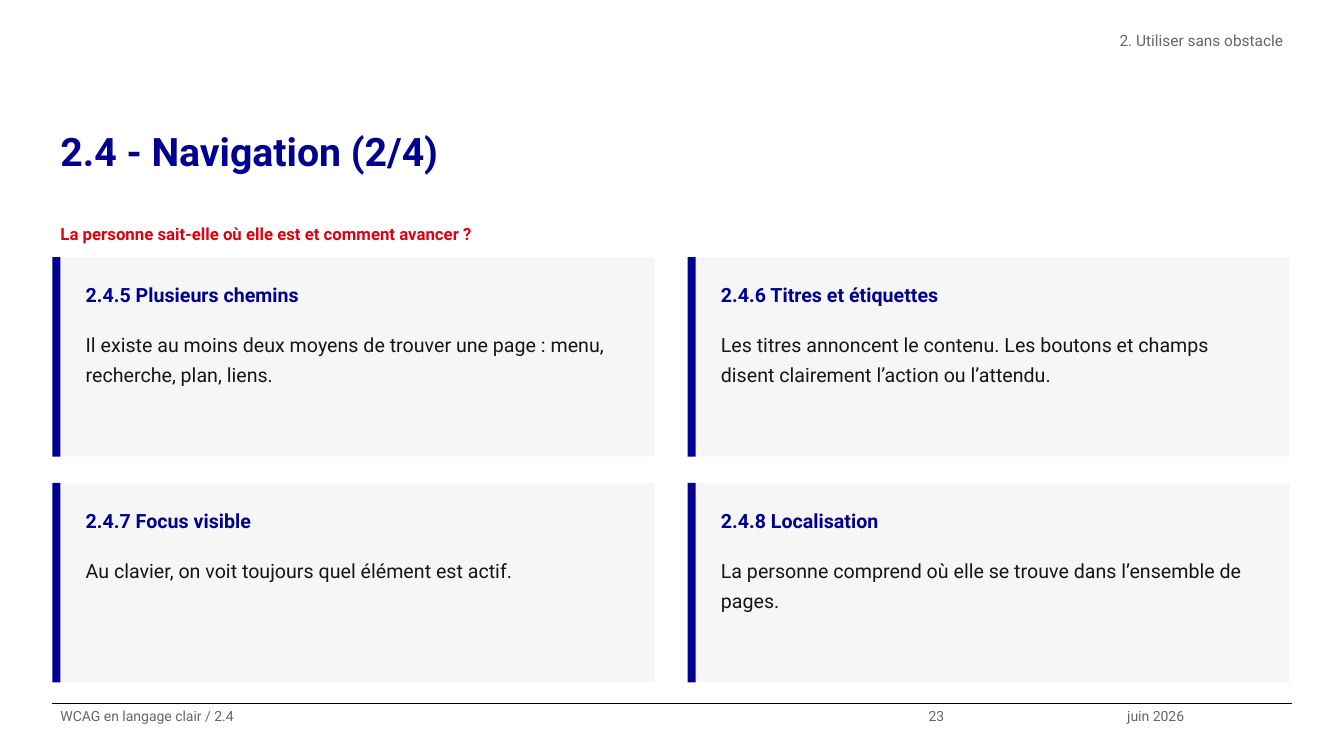
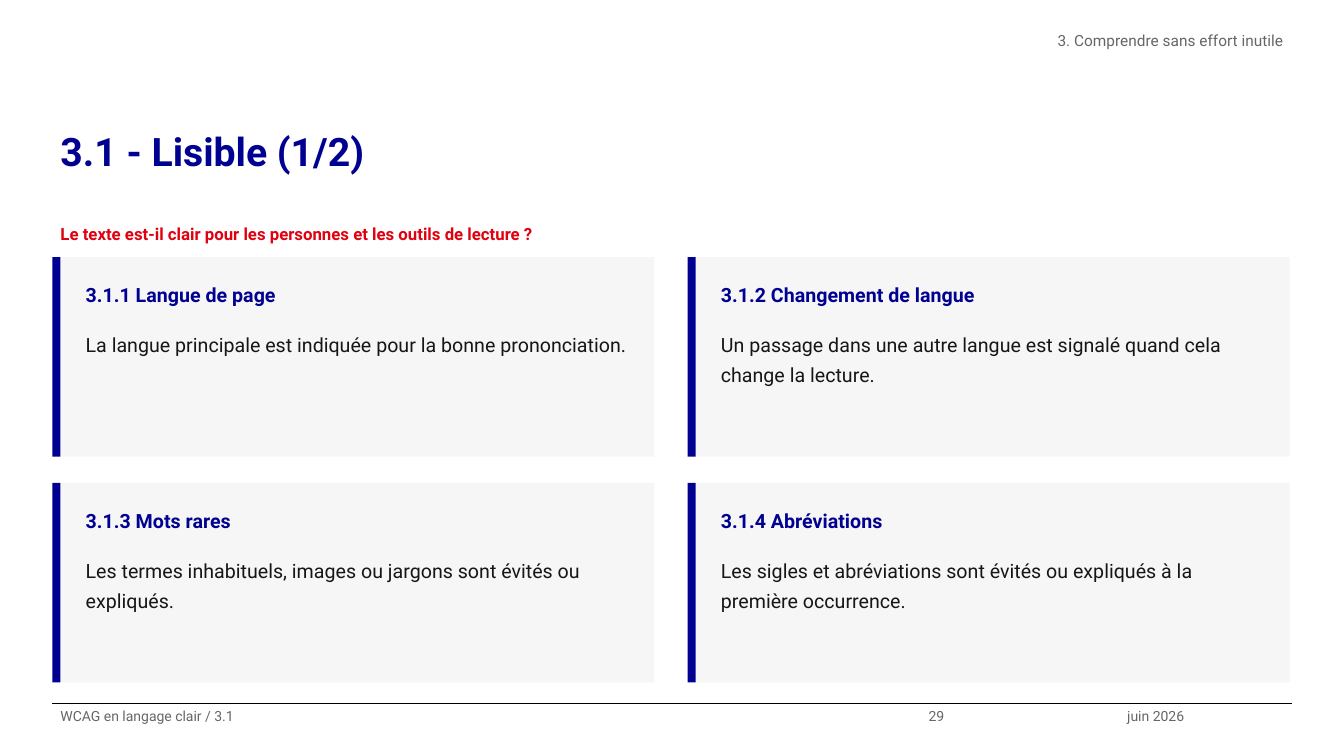
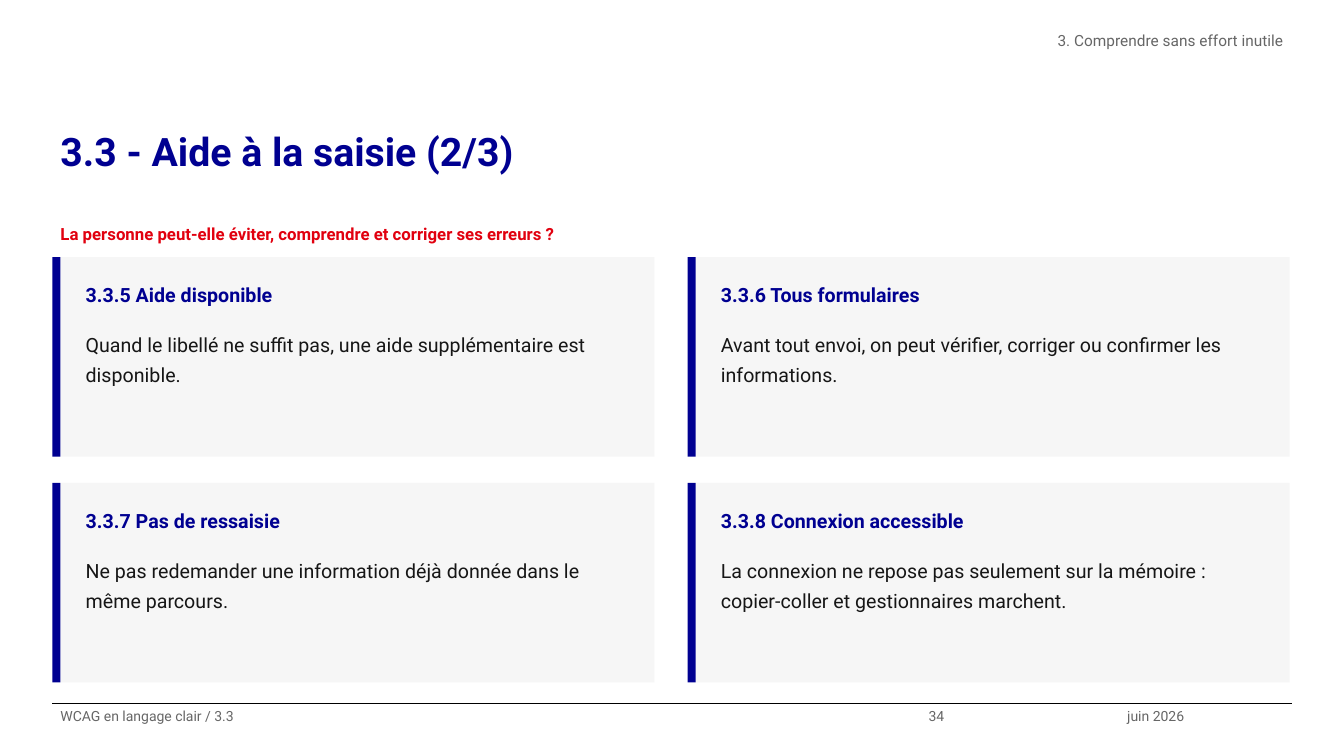
"""Build three slides of plain-language accessibility criteria cards."""
from pptx import Presentation
from pptx.dml.color import RGBColor
from pptx.enum.shapes import MSO_CONNECTOR as Connector, MSO_SHAPE as Shape
from pptx.enum.text import MSO_ANCHOR as Anchor, MSO_AUTO_SIZE as AutoSize, PP_ALIGN as Align
from pptx.oxml.ns import qn
from pptx.util import Inches, Pt
from lxml import etree

FONT = "Roboto"
BLUE, RED, INK, GREY, PANEL, BLACK = "000091", "E1000F", "161616", "666666", "F6F6F6", "000000"
LEFT, WIDTH = 0.52, 12.28
FOOTER_TOP, FOOTER_HEIGHT = 6.98, 0.52
CARD_TOP, CARD_HEIGHT, CARD_PITCH_X, CARD_PITCH_Y = 2.55, 1.98, 6.3, 2.24
BAR_WIDTH, PANEL_WIDTH, CARD_PADDING = 0.08, 5.89, 0.17
DATE = "juin 2026"
FOOTER = "WCAG en langage clair / "

SLIDES = [
    dict(
        section="2. Utiliser sans obstacle",
        title="2.4 - Navigation (2/4)",
        guideline="2.4",
        number="23",
        question="La personne sait-elle où elle est et comment avancer ?",
        cards=[
            ("2.4.5 Plusieurs chemins",
             "Il existe au moins deux moyens de trouver une page : menu, recherche, plan, liens."),
            ("2.4.6 Titres et étiquettes",
             "Les titres annoncent le contenu. Les boutons et champs disent clairement "
             "l’action ou l’attendu."),
            ("2.4.7 Focus visible",
             "Au clavier, on voit toujours quel élément est actif."),
            ("2.4.8 Localisation",
             "La personne comprend où elle se trouve dans l’ensemble de pages."),
        ],
    ),
    dict(
        section="3. Comprendre sans effort inutile",
        title="3.1 - Lisible (1/2)",
        guideline="3.1",
        number="29",
        question="Le texte est-il clair pour les personnes et les outils de lecture ?",
        cards=[
            ("3.1.1 Langue de page",
             "La langue principale est indiquée pour la bonne prononciation."),
            ("3.1.2 Changement de langue",
             "Un passage dans une autre langue est signalé quand cela change la lecture."),
            ("3.1.3 Mots rares",
             "Les termes inhabituels, images ou jargons sont évités ou expliqués."),
            ("3.1.4 Abréviations",
             "Les sigles et abréviations sont évités ou expliqués à la première occurrence."),
        ],
    ),
    dict(
        section="3. Comprendre sans effort inutile",
        title="3.3 - Aide à la saisie (2/3)",
        guideline="3.3",
        number="34",
        question="La personne peut-elle éviter, comprendre et corriger ses erreurs ?",
        cards=[
            ("3.3.5 Aide disponible",
             "Quand le libellé ne suffit pas, une aide supplémentaire est disponible."),
            ("3.3.6 Tous formulaires",
             "Avant tout envoi, on peut vérifier, corriger ou confirmer les informations."),
            ("3.3.7 Pas de ressaisie",
             "Ne pas redemander une information déjà donnée dans le même parcours."),
            ("3.3.8 Connexion accessible",
             "La connexion ne repose pas seulement sur la mémoire : "
             "copier-coller et gestionnaires marchent."),
        ],
    ),
]


def color(value):
    return RGBColor.from_string(value)


def write(box, text, size, ink, bold=False, align=Align.LEFT, inset=0):
    frame = box.text_frame
    frame.word_wrap = True
    frame.auto_size = AutoSize.NONE
    frame.vertical_anchor = Anchor.TOP
    frame.margin_left = frame.margin_right = Inches(0.08)
    frame.margin_top = frame.margin_bottom = Inches(inset)
    para = frame.paragraphs[0]
    para.alignment = align
    para.line_spacing = 1.25
    para.space_before = Pt(0)
    span = para.add_run()
    span.text = text
    span.font.name = FONT
    span.font.size = Pt(size)
    span.font.bold = bold
    span.font.color.rgb = color(ink)


def add_text(page, area, text, **style):
    write(page.shapes.add_textbox(*map(Inches, area)), text, **style)


def add_block(page, area, fill):
    block = page.shapes.add_shape(Shape.RECTANGLE, *map(Inches, area))
    block.shadow.inherit = False
    block.fill.solid()
    block.fill.fore_color.rgb = color(fill)
    block.line.fill.background()


def add_title(page, text):
    title = page.shapes.title
    title.left, title.top, title.width, title.height = map(Inches, (LEFT, 1.15, WIDTH, 1.05))
    write(title, text, size=28, ink=BLUE, bold=True)


def add_footer(page, guideline, number):
    ends = (LEFT, FOOTER_TOP, 12.81, FOOTER_TOP)
    rule = page.shapes.add_connector(Connector.STRAIGHT, *map(Inches, ends))
    rule.line.color.rgb = color(BLACK)
    rule.line.width = Pt(0.8)
    etree.SubElement(rule._element.spPr, qn("a:effectLst"))
    fields = [(LEFT, 8.61, FOOTER + guideline), (9.13, 1.97, number), (11.1, 1.71, DATE)]
    for left, width, text in fields:
        add_text(page, (left, FOOTER_TOP, width, FOOTER_HEIGHT), text, size=10, ink=GREY)


def add_card(page, index, heading, body):
    row, column = divmod(index, 2)
    left = LEFT + column * CARD_PITCH_X
    top = CARD_TOP + row * CARD_PITCH_Y
    panel_left = left + BAR_WIDTH
    text_left = panel_left + CARD_PADDING
    add_block(page, (panel_left, top, PANEL_WIDTH, CARD_HEIGHT), PANEL)
    add_block(page, (left, top, BAR_WIDTH, CARD_HEIGHT), BLUE)
    add_text(page, (text_left, top + 0.15, 5.57, 0.45), heading,
             size=14, ink=BLUE, bold=True, inset=0.05)
    add_text(page, (text_left, top + 0.65, 5.57, 1.18), body, size=14, ink=INK, inset=0.05)


def add_page(deck, content):
    page = deck.slides.add_slide(deck.slide_layouts[5])
    add_title(page, content["title"])
    add_text(page, (4.83, 0.26, 7.98, 0.52), content["section"],
             size=11, ink=GREY, align=Align.RIGHT)
    add_text(page, (LEFT, 2.12, WIDTH, 0.28), content["question"],
             size=12, ink=RED, bold=True, inset=0.05)
    for index, (heading, body) in enumerate(content["cards"]):
        add_card(page, index, heading, body)
    add_footer(page, content["guideline"], content["number"])


def main():
    deck = Presentation()
    deck.slide_width, deck.slide_height = Inches(13.33), Inches(7.5)
    for content in SLIDES:
        add_page(deck, content)
    deck.save("out.pptx")


if __name__ == "__main__":
    main()
